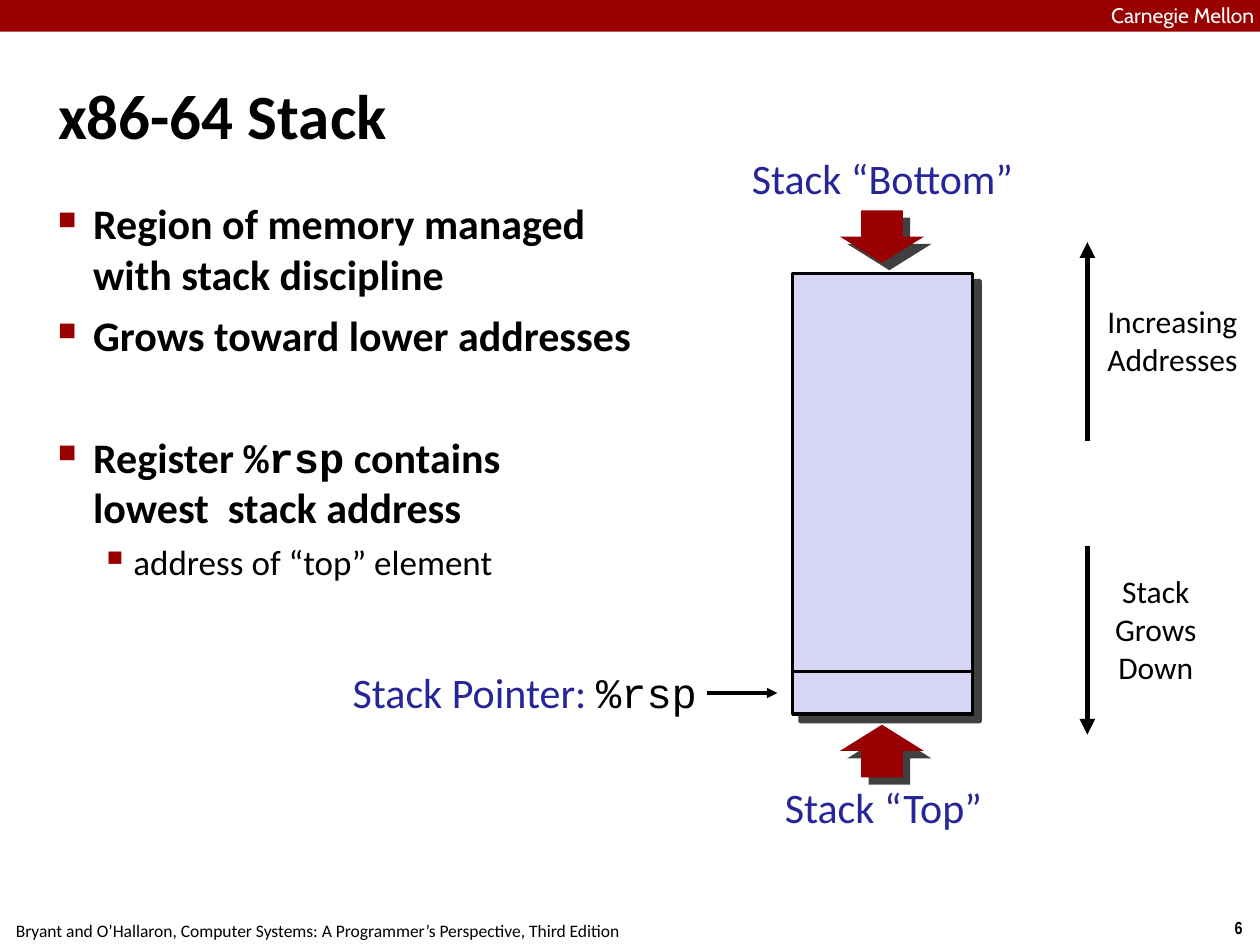
from dataclasses import dataclass

import pptx
import pptx.dml.color
import pptx.enum.shapes
import pptx.enum.text
import pptx.oxml
import pptx.oxml.ns
import pptx.util
from pptx.util import Cm

ALIGN = pptx.enum.text.PP_ALIGN
ANCHOR = pptx.enum.text.MSO_ANCHOR
NAMESPACE = pptx.oxml.ns.nsdecls("a")


@dataclass(frozen=True)
class Theme:
    red: str = "990000"
    arrow_red: str = "980002"
    blue: str = "262699"
    lavender: str = "D6D6F4"
    black: str = "000000"
    white: str = "FFFFFF"
    sans: str = "Calibri"
    mono: str = "Courier New"
    narrow: str = "Arial Narrow"
    header: str = "Cabin"
    title: int = 36
    main: int = 24
    detail: int = 20
    label: int = 18
    heading: int = 12
    small: int = 10


THEME = Theme()


def rgb(value):
    return pptx.dml.color.RGBColor.from_string(value)


def set_values(target, values):
    for name, value in values.items():
        setattr(target, name, value)


def add_spans(para, spans, size, color=THEME.black, font=THEME.sans, bold=False):
    """Each span is a text, or a (text, overrides) pair."""
    for item in spans:
        text, changes = (item, {}) if isinstance(item, str) else item
        look = {"name": font, "size": pptx.util.Pt(size), "bold": bold, "color": color}
        look.update(changes)
        span = para.add_run()
        span.text = text
        span.font.color.rgb = rgb(look.pop("color"))
        set_values(span.font, look)


def set_frame(frame, inset=0.1, wrap=True, anchor=ANCHOR.TOP):
    set_values(frame, {
        "margin_left": Cm(inset), "margin_right": Cm(inset),
        "margin_top": Cm(inset), "margin_bottom": Cm(inset),
        "word_wrap": wrap, "vertical_anchor": anchor,
        "auto_size": pptx.enum.text.MSO_AUTO_SIZE.NONE,
    })


def add_text(slide, place, lines, size, align=ALIGN.CENTER, inset=0.1, wrap=False,
             fill=None, **look):
    """Each line is a list of spans."""
    box = slide.shapes.add_textbox(*map(Cm, place))
    if fill:
        box.fill.solid()
        box.fill.fore_color.rgb = rgb(fill)
    frame = box.text_frame
    set_frame(frame, inset, wrap)
    for index, spans in enumerate(lines):
        para = frame.add_paragraph() if index else frame.paragraphs[0]
        para.alignment = align
        add_spans(para, spans, size, **look)
    return box


def set_indent(para, left, hanging):
    properties = para._p.get_or_add_pPr()
    properties.set("marL", str(Cm(left)))
    properties.set("indent", str(-Cm(hanging)))
    return properties


def add_bullet(para, mark, percent, left, hanging):
    properties = set_indent(para, left, hanging)
    for xml in (
        f'<a:buClr {NAMESPACE}><a:srgbClr val="{THEME.red}"/></a:buClr>',
        f'<a:buSzPct {NAMESPACE} val="{percent * 1000}"/>',
        f'<a:buChar {NAMESPACE} char="{mark}"/>',
    ):
        properties.append(pptx.oxml.parse_xml(xml))


def add_title(slide, text):
    title = slide.shapes.title
    set_values(title, {"left": Cm(1.07), "top": Cm(0.71),
                       "width": Cm(23.29), "height": Cm(3.18)})
    set_frame(title.text_frame, anchor=ANCHOR.MIDDLE)
    para = title.text_frame.paragraphs[0]
    para.alignment = ALIGN.LEFT
    set_indent(para, 0.33, 0.33)
    add_spans(para, [text], THEME.title, bold=True)


def add_body(slide):
    box = slide.shapes.add_textbox(Cm(1.07), Cm(3.89), Cm(12.4), Cm(15.09))
    frame = box.text_frame
    set_frame(frame)
    points = [
        (0, 0, ["Region of memory managed with stack discipline"]),
        (0, 6, ["Grows toward lower addresses"]),
        (0, 41, ["Register ", ("%rsp", {"name": THEME.mono}),
                 " contains\vlowest  stack address"]),
        (1, 5, ["address of “top” element"]),
    ]
    styles = [
        (("■", 60, 0.71, 0.71), THEME.main, True),
        (("▪", 110, 1.52, 0.66), THEME.detail, False),
    ]
    for index, (level, space, spans) in enumerate(points):
        bullet, size, bold = styles[level]
        para = frame.add_paragraph() if index else frame.paragraphs[0]
        add_bullet(para, *bullet)
        set_values(para, {"level": level, "space_before": pptx.util.Pt(space),
                          "alignment": ALIGN.LEFT})
        for text in spans:
            pieces = text.split("\v") if isinstance(text, str) else [text]
            for number, piece in enumerate(pieces):
                if number:
                    para.add_line_break()
                add_spans(para, [piece], size, bold=bold)


def paint(shape, fill, border=None, shadow=False):
    shape.shadow.inherit = False
    shape.fill.solid()
    shape.fill.fore_color.rgb = rgb(fill)
    if border:
        shape.line.color.rgb = rgb(THEME.black)
        shape.line.width = pptx.util.Pt(border)
    else:
        shape.line.fill.background()
    if shadow:
        effects = shape._element.spPr.find(pptx.oxml.ns.qn("a:effectLst"))
        effects.append(pptx.oxml.parse_xml(
            f'<a:outerShdw {NAMESPACE} blurRad="0" dist="{pptx.util.Pt(6)}" '
            f'dir="2700000" algn="ctr" rotWithShape="0"><a:srgbClr val="{THEME.black}">'
            '<a:alpha val="75000"/></a:srgbClr></a:outerShdw>'))


def add_rectangle(slide, place, fill, **look):
    kind = pptx.enum.shapes.MSO_SHAPE.RECTANGLE
    paint(slide.shapes.add_shape(kind, *map(Cm, place)), fill, **look)


def add_line(slide, start, end, width, arrow=True):
    line = slide.shapes.add_connector(
        pptx.enum.shapes.MSO_CONNECTOR.STRAIGHT, *map(Cm, start + end))
    line.line.color.rgb = rgb(THEME.black)
    line.line.width = pptx.util.Pt(width)
    if arrow:
        line.line._get_or_add_ln().append(
            pptx.oxml.parse_xml(f'<a:tailEnd {NAMESPACE} type="triangle"/>'))
    line._element.spPr.append(pptx.oxml.parse_xml(f"<a:effectLst {NAMESPACE}/>"))


def add_block_arrow(slide, center, tip, direction):
    """direction is 1 for pointing down and -1 for pointing up."""
    half, stem, head, length = 0.85, 0.42, 0.53, 1.06
    shoulder, base = tip - direction * head, tip - direction * length
    points = [(-half, shoulder), (-stem, shoulder), (-stem, base), (stem, base),
              (stem, shoulder), (half, shoulder), (0, tip)]
    corners = [(Cm(center + x), Cm(y)) for x, y in points]
    builder = slide.shapes.build_freeform(*corners[0])
    builder.add_line_segments(corners[1:], close=True)
    paint(builder.convert_to_shape(), THEME.arrow_red, shadow=True)


def add_furniture(slide):
    add_text(slide, (24.54, 18.36, 0.86, 0.69), [["6"]], THEME.small,
             inset=0.13, font=THEME.narrow, bold=True)
    add_text(slide, (-0.05, 18.42, 12.9, 0.69),
             [["Bryant and O’Hallaron, Computer Systems: "
               "A Programmer’s Perspective, Third Edition"]], THEME.small, inset=0.13)
    add_rectangle(slide, (0, 0, 25.4, 0.64), THEME.red)
    add_text(slide, (22.4, 0.05, 3, 0.48), [["Carnegie Mellon"]], THEME.heading,
             align=ALIGN.LEFT, inset=0, color=THEME.white, font=THEME.header)


def add_stack(slide):
    left, top, width, height = 15.98, 5.51, 3.63, 8.89
    add_rectangle(slide, (left, top, width, height), THEME.lavender,
                  border=2, shadow=True)
    add_line(slide, (left, 13.54), (left + width, 13.54), 2, arrow=False)
    add_line(slide, (14.25, 13.97), (15.67, 13.97), 2)
    add_text(slide, (6.83, 13.34, 7.32, 1.27),
             [["Stack Pointer: ", ("%rsp", {"name": THEME.mono, "color": THEME.black})]],
             THEME.main, align=ALIGN.RIGHT, color=THEME.blue)
    for text, place, tip, direction in (
        ("Stack “Bottom”", (14.96, 2.97, 5.66, 1.24), 5.3, 1),
        ("Stack “Top”", (15.65, 15.65, 4.32, 1.24), 14.61, -1),
    ):
        add_text(slide, place, [[text]], THEME.main, color=THEME.blue)
        add_block_arrow(slide, 17.78, tip, direction)


def add_directions(slide):
    for place, lines, wrap, start, end in (
        ((22.2, 5.99, 2.87, 1.75), ["Increasing", "Addresses"], False, 8.89, 4.88),
        ((22.17, 11.43, 2.26, 2.54), ["Stack Grows", "Down"], True, 11, 14.81),
    ):
        add_line(slide, (21.92, start), (21.92, end), 3)
        add_text(slide, place, [[line] for line in lines], THEME.label,
                 wrap=wrap, fill=THEME.white)


def main():
    deck = pptx.Presentation()
    set_values(deck, {"slide_width": Cm(25.4), "slide_height": Cm(19.05)})
    slide = deck.slides.add_slide(deck.slide_layouts[5])
    add_furniture(slide)
    add_title(slide, "x86-64 Stack")
    add_body(slide)
    add_stack(slide)
    add_directions(slide)
    deck.save("out.pptx")


if __name__ == "__main__":
    main()
